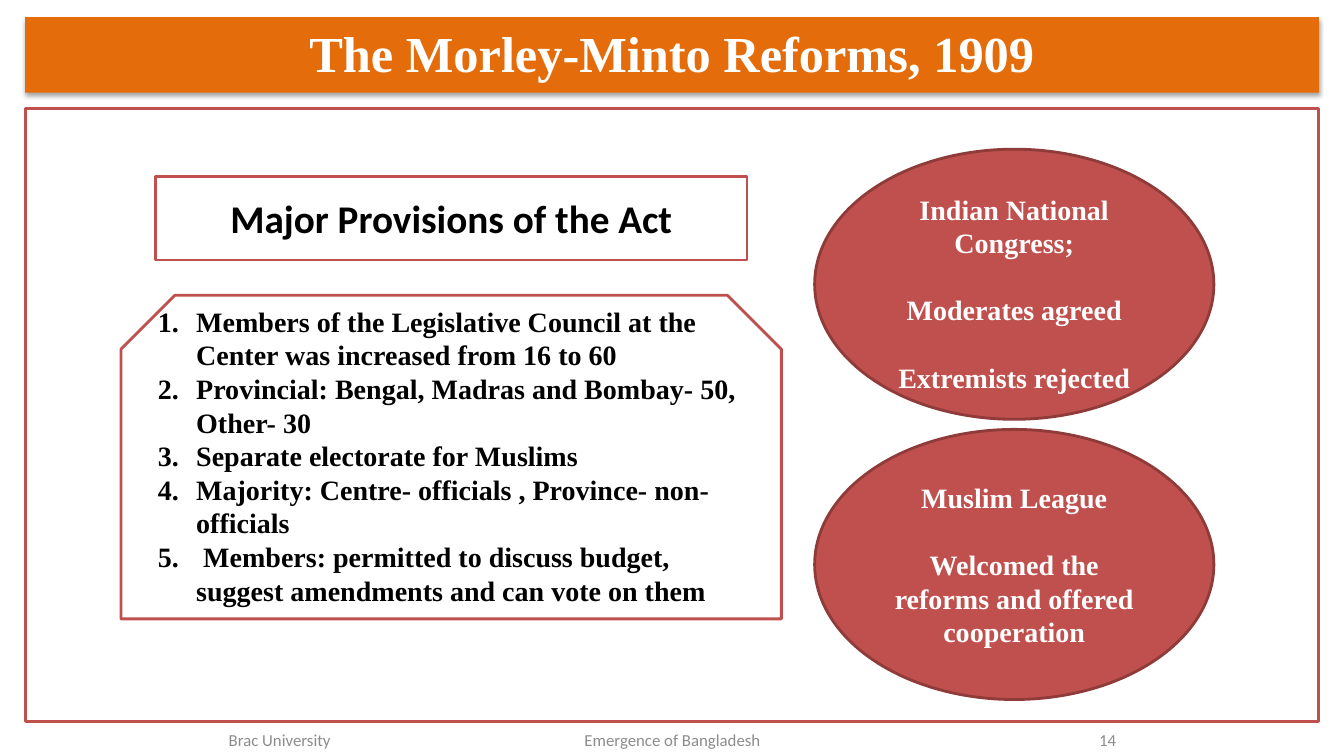
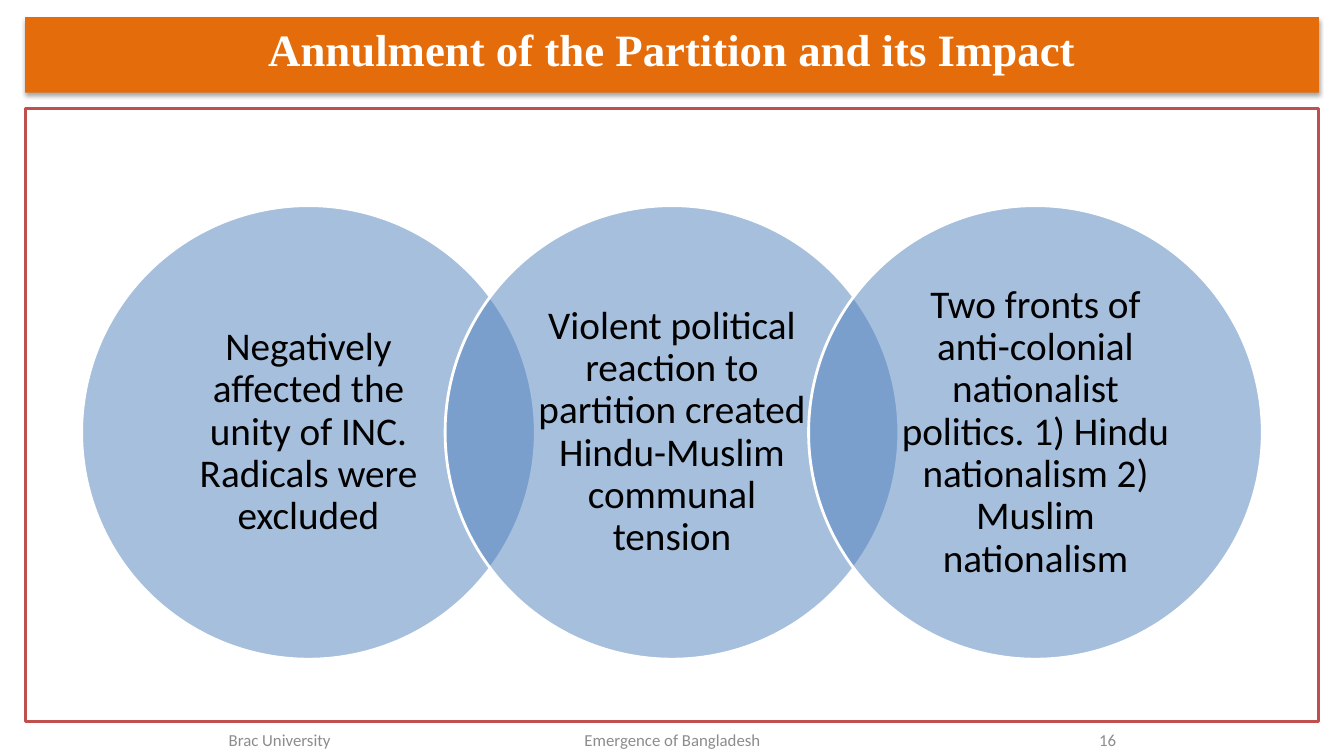
from dataclasses import dataclass

from lxml import etree
from pptx import Presentation
from pptx.dml.color import RGBColor
from pptx.enum.shapes import MSO_SHAPE
from pptx.enum.text import MSO_ANCHOR, MSO_AUTO_SIZE, PP_ALIGN
from pptx.oxml.ns import qn
from pptx.util import Inches, Pt

RECTANGLE, OVAL = MSO_SHAPE.RECTANGLE, MSO_SHAPE.OVAL
SNIPPED = MSO_SHAPE.SNIP_2_SAME_RECTANGLE
TOP, MIDDLE = MSO_ANCHOR.TOP, MSO_ANCHOR.MIDDLE
LEFT, CENTER, RIGHT = PP_ALIGN.LEFT, PP_ALIGN.CENTER, PP_ALIGN.RIGHT
TITLE_ONLY = 5


@dataclass(frozen=True)
class Theme:
    orange: str = "E46C0A"
    red: str = "C0504D"
    dark_red: str = "8E3B39"
    blue: str = "4F81BD"
    white: str = "FFFFFF"
    black: str = "000000"
    gray: str = "8C8C8C"
    serif: str = "Times New Roman"
    sans: str = "Calibri"
    title_size: int = 36
    long_title_size: int = 32
    heading_size: int = 28
    body_size: int = 20
    footer_size: int = 12
    outline: int = 2


THEME = Theme()
BAND = (0.25, 0.17, 12.83, 0.75)
FRAME = (0.25, 1.08, 12.83, 6.08)
FOOTER = (2.17, 7.17, 9, 0.33)


def text_style(size, color=THEME.black, name=THEME.serif, bold=True):
    return {"size": Pt(size), "color": color, "name": name, "bold": bold}


def inches(box):
    return [Inches(value) for value in box]


def write(frame, lines, style, align=CENTER, anchor=MIDDLE, gap=0,
          spacing=None, margins=None, numbered=False):
    """Fill a text frame with one paragraph per line; gap is in points."""
    layout = {"word_wrap": True, "auto_size": MSO_AUTO_SIZE.NONE,
              "vertical_anchor": anchor}
    for side, value in (margins or {}).items():
        layout[f"margin_{side}"] = Inches(value)
    for attribute, value in layout.items():
        setattr(frame, attribute, value)
    for index, line in enumerate(lines):
        paragraph = frame.add_paragraph() if index else frame.paragraphs[0]
        paragraph.text = line
        paragraph.alignment = align
        if index and gap:
            paragraph.space_before = Pt(gap)
        if spacing:
            paragraph.line_spacing = spacing
        if numbered:
            number_paragraph(paragraph)
        for attribute, value in style.items():
            if attribute == "color":
                paragraph.runs[0].font.color.rgb = RGBColor.from_string(value)
            else:
                setattr(paragraph.runs[0].font, attribute, value)


def number_paragraph(paragraph, indent=0.38):
    properties = paragraph._p.get_or_add_pPr()
    properties.set("marL", str(Inches(indent)))
    properties.set("indent", str(-Inches(indent)))
    etree.SubElement(properties, qn("a:buFont"), typeface="+mj-lt")
    etree.SubElement(properties, qn("a:buAutoNum"), type="arabicPeriod")


def fill_solid(shape, color, opacity=None):
    shape.fill.solid()
    shape.fill.fore_color.rgb = RGBColor.from_string(color)
    if opacity is not None:
        rgb = shape._element.spPr.find(qn("a:solidFill"))[0]
        etree.SubElement(rgb, qn("a:alpha"), val=str(opacity * 1000))


def add_panel(slide, kind, box, fill=THEME.white, line=THEME.red, opacity=None):
    panel = slide.shapes.add_shape(kind, *inches(box))
    panel.shadow.inherit = False
    fill_solid(panel, fill, opacity)
    panel.line.color.rgb = RGBColor.from_string(line)
    panel.line.width = Pt(THEME.outline)
    return panel


def add_drop_shadow(shape):
    effects = etree.SubElement(shape._element.spPr, qn("a:effectLst"))
    shadow = etree.SubElement(
        effects, qn("a:outerShdw"), blurRad=str(Pt(3.1)), dist=str(Pt(1.8)),
        dir="5400000", rotWithShape="0")
    color = etree.SubElement(shadow, qn("a:srgbClr"), val=THEME.black)
    etree.SubElement(color, qn("a:alpha"), val="35000")


def add_title_band(slide, box, title, size):
    band = slide.shapes.title
    band.left, band.top, band.width, band.height = inches(box)
    fill_solid(band, THEME.orange)
    add_drop_shadow(band)
    write(band.text_frame, [title], text_style(size, THEME.white), anchor=TOP)


def add_footer(slide, box, number):
    left, top, width, height = box
    style = text_style(THEME.footer_size, THEME.gray, THEME.sans, False)
    side, middle = 2.33, 3.17
    for text, offset, part_width, align in (
            ("Brac University", 0, side, LEFT),
            ("Emergence of Bangladesh", (width - middle) / 2, middle, CENTER),
            (str(number), width - side, side, RIGHT)):
        part = slide.shapes.add_textbox(
            *inches((left + offset, top, part_width, height)))
        write(part.text_frame, [text], style, align)


def start_slide(deck, title, title_size, number):
    slide = deck.slides.add_slide(deck.slide_layouts[TITLE_ONLY])
    add_title_band(slide, BAND, title, title_size)
    add_panel(slide, RECTANGLE, FRAME)
    add_footer(slide, FOOTER, number)
    return slide


def add_provisions(slide, box, heading, provisions):
    """Place a heading box above a snipped panel with a numbered list."""
    left, top, width, height = box
    inset, heading_height, list_top = 0.34, 0.83, 1.18
    heading_panel = add_panel(
        slide, RECTANGLE, (left + inset, top, width - 2 * inset, heading_height))
    write(heading_panel.text_frame, [heading],
          text_style(THEME.heading_size, name=THEME.sans))
    list_panel = add_panel(
        slide, SNIPPED, (left, top + list_top, width, height - list_top))
    write(list_panel.text_frame, provisions, text_style(THEME.body_size),
          LEFT, margins={"bottom": 0.35}, numbered=True)


def add_reactions(slide, box, reactions):
    """Stack one ellipse per (lines, top margin) pair."""
    left, top, width, height = box
    gap = 0.1
    oval_height = (height - gap * (len(reactions) - 1)) / len(reactions)
    for index, (lines, top_margin) in enumerate(reactions):
        oval = add_panel(
            slide, OVAL,
            (left, top + index * (oval_height + gap), width, oval_height),
            THEME.red, THEME.dark_red)
        write(oval.text_frame, lines, text_style(THEME.body_size, THEME.white),
              gap=24, margins={"top": top_margin})


def add_overlapping_circles(slide, box, impacts):
    left, top, width, diameter = box
    step = (width - diameter) / (len(impacts) - 1)
    for index, impact in enumerate(impacts):
        circle = add_panel(
            slide, OVAL, (left + index * step, top, diameter, diameter),
            THEME.blue, THEME.white, opacity=50)
        write(circle.text_frame, [impact],
              text_style(THEME.heading_size, name=THEME.sans, bold=False),
              spacing=0.9, margins={"left": 0.25, "right": 0.25,
                                    "top": 0.04, "bottom": 0.04})


def build_reforms(deck):
    slide = start_slide(deck, "The Morley-Minto Reforms, 1909",
                        THEME.title_size, 14)
    add_provisions(slide, (1.2, 1.75, 6.55, 4.39), "Major Provisions of the Act", [
        "Members of the Legislative Council at the Center was increased from 16 to 60",
        "Provincial: Bengal, Madras and Bombay- 50, Other- 30",
        "Separate electorate for Muslims",
        "Majority: Centre- officials , Province- non-officials",
        " Members: permitted to discuss budget, suggest amendments and can vote on them",
    ])
    add_reactions(slide, (8.08, 1.48, 3.96, 5.46), [
        (["Indian National Congress;", "Moderates agreed", "Extremists rejected"], 0.22),
        (["Muslim League", "Welcomed the reforms and offered cooperation"], 0.05),
    ])


def build_annulment(deck):
    slide = start_slide(deck, "Annulment of the Partition and its Impact",
                        THEME.long_title_size, 16)
    add_overlapping_circles(slide, (0.81, 2.04, 11.71, 4.5), [
        "Negatively affected the unity of INC. Radicals were excluded",
        "Violent political reaction to partition created Hindu-Muslim communal tension",
        "Two fronts of anti-colonial nationalist politics. 1) Hindu nationalism "
        "2) Muslim nationalism",
    ])


def main():
    deck = Presentation()
    deck.slide_width, deck.slide_height = Inches(13.33), Inches(7.5)
    build_reforms(deck)
    build_annulment(deck)
    deck.save("out.pptx")


if __name__ == "__main__":
    main()
